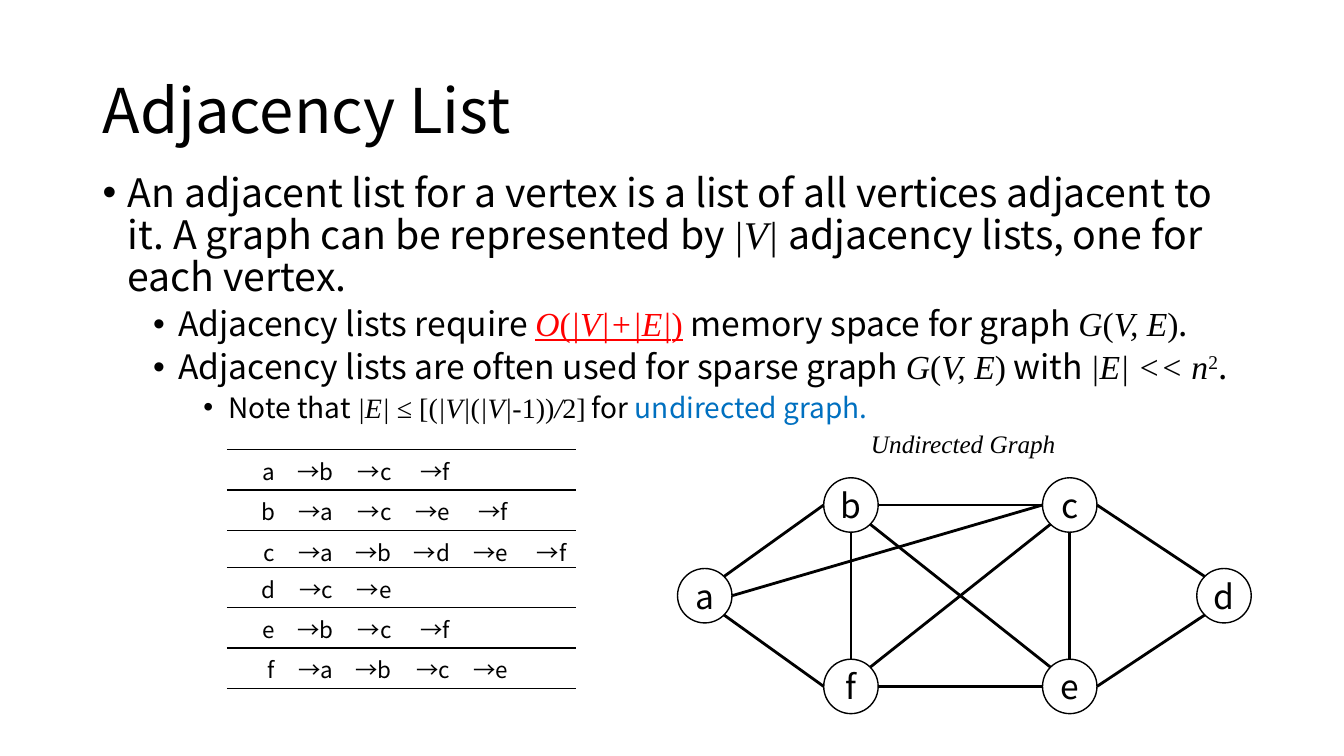
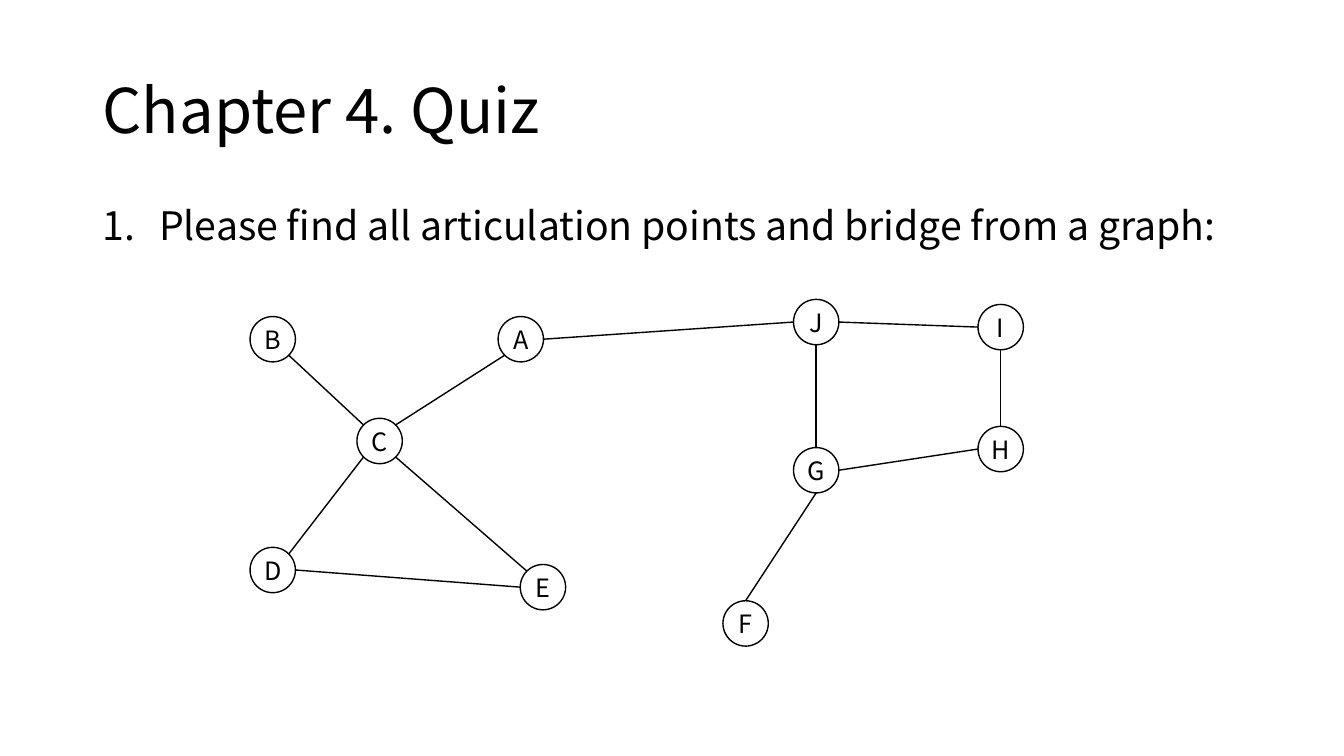
from dataclasses import dataclass
from math import sqrt
from typing import NamedTuple

from lxml.etree import SubElement
from pptx import Presentation
from pptx.dml.color import RGBColor
from pptx.enum.shapes import MSO_CONNECTOR as Connector, MSO_SHAPE as Preset
from pptx.enum.text import MSO_ANCHOR as Anchor, PP_ALIGN as Align
from pptx.oxml.ns import qn
from pptx.util import Inches, Pt


# Shared look
@dataclass(frozen=True)
class Theme:
    sans: str = "Noto Sans CJK JP"
    serif: str = "Times New Roman"
    black: RGBColor = RGBColor(0x00, 0x00, 0x00)
    white: RGBColor = RGBColor(0xFF, 0xFF, 0xFF)
    red: RGBColor = RGBColor(0xFF, 0x00, 0x00)
    blue: RGBColor = RGBColor(0x00, 0x70, 0xC0)
    title_size: int = 44
    body_sizes: tuple[int, ...] = (28, 24, 20)
    table_size: int = 16
    caption_size: int = 18
    line_spacing: float = 0.9


THEME = Theme()


class Style(NamedTuple):
    font: str = THEME.sans
    color: RGBColor = THEME.black
    italic: bool = False
    underline: bool = False
    raised: bool = False


SANS = Style()
SERIF = Style(THEME.serif)
MATH = Style(THEME.serif, italic=True)
RED_SERIF = Style(THEME.serif, THEME.red, underline=True)
RED_MATH = RED_SERIF._replace(italic=True)
BLUE = Style(color=THEME.blue)
SUPERSCRIPT = Style(THEME.serif, raised=True)


class Piece(NamedTuple):
    text: str
    style: Style = SANS


class Item(NamedTuple):
    level: int
    pieces: list[Piece]
    hanging: float = 0.25
    numbered: bool = False


class Node(NamedTuple):
    name: str
    left: float
    top: float


class Edge(NamedTuple):
    start: str
    start_side: str
    end: str
    end_side: str


class Graph(NamedTuple):
    nodes: list[Node]
    edges: list[Edge]
    diameter: float
    text_size: int
    line_width: float


# Points on a circle, as fractions of its radius from the centre
DIAGONAL = 1 / sqrt(2)
SIDES = {
    "N": (0, -1), "S": (0, 1), "W": (-1, 0), "E": (1, 0),
    "NW": (-DIAGONAL, -DIAGONAL), "NE": (DIAGONAL, -DIAGONAL),
    "SW": (-DIAGONAL, DIAGONAL), "SE": (DIAGONAL, DIAGONAL),
}


# Text helpers
def format_run(run, size: int, style: Style = SANS) -> None:
    font = run.font
    font.name, font.size, font.italic = style.font, Pt(size), style.italic
    font.color.rgb = style.color
    font.underline = style.underline
    properties = run._r.get_or_add_rPr()
    SubElement(properties, qn("a:ea")).set("typeface", style.font)
    if style.raised:
        properties.set("baseline", "30000")


def add_text_box(slide, left: float, top: float, width: float, height: float, wrap: bool = True):
    box = slide.shapes.add_textbox(Inches(left), Inches(top), Inches(width), Inches(height))
    box.text_frame.word_wrap = wrap
    return box.text_frame


def add_title(slide, text: str) -> None:
    frame = add_text_box(slide, 0.92, 0.4, 11.5, 1.45)
    frame.vertical_anchor = Anchor.MIDDLE
    frame.text = text
    paragraph = frame.paragraphs[0]
    paragraph.line_spacing = THEME.line_spacing
    format_run(paragraph.runs[0], THEME.title_size)


def set_bullet(paragraph, item: Item) -> None:
    properties = paragraph._p.get_or_add_pPr()
    properties.set("marL", str(Inches(item.hanging + 0.5 * item.level)))
    properties.set("indent", str(-Inches(item.hanging)))
    if item.numbered:
        SubElement(properties, qn("a:buAutoNum")).set("type", "arabicPeriod")
    else:
        SubElement(properties, qn("a:buFont")).set("typeface", "Arial")
        SubElement(properties, qn("a:buChar")).set("char", "•")


def add_body(slide, top: float, height: float, items: list[Item]) -> None:
    frame = add_text_box(slide, 0.92, top, 11.5, height)
    for index, item in enumerate(items):
        paragraph = frame.add_paragraph() if index else frame.paragraphs[0]
        paragraph.level = item.level
        set_bullet(paragraph, item)
        paragraph.line_spacing = THEME.line_spacing
        paragraph.space_before = Pt(5 if index else 0)
        for piece in item.pieces:
            run = paragraph.add_run()
            run.text = piece.text
            format_run(run, THEME.body_sizes[item.level], piece.style)


# Table of adjacency lists
def set_borders(cell) -> None:
    properties = cell._tc.get_or_add_tcPr()
    for position, tag in enumerate(("a:lnL", "a:lnR", "a:lnT", "a:lnB")):
        line = properties.makeelement(qn(tag), {"w": str(Pt(1))})
        if tag in ("a:lnT", "a:lnB"):
            fill = SubElement(line, qn("a:solidFill"))
            SubElement(fill, qn("a:srgbClr")).set("val", str(THEME.black))
        else:
            SubElement(line, qn("a:noFill"))
        properties.insert(position, line)


def add_adjacency_table(slide, lists: dict[str, str]) -> None:
    columns = 1 + max(map(len, lists.values()))
    table = slide.shapes.add_table(
        len(lists), columns, Inches(2.25), Inches(4.46), Inches(3.47), Inches(2.2)).table
    table.first_row = table.horz_banding = False
    for row, (vertex, neighbours) in enumerate(lists.items()):
        texts = [vertex] + [f"→{name}" for name in neighbours]
        for column in range(columns):
            cell = table.cell(row, column)
            cell.fill.background()
            set_borders(cell)
            cell.vertical_anchor = Anchor.MIDDLE
            if column < len(texts):
                cell.text_frame.text = texts[column]
                paragraph = cell.text_frame.paragraphs[0]
                paragraph.alignment = Align.RIGHT
                format_run(paragraph.runs[0], THEME.table_size)


# Graph drawing
def add_node(slide, node: Node, graph: Graph) -> None:
    size = Inches(graph.diameter)
    shape = slide.shapes.add_shape(Preset.OVAL, Inches(node.left), Inches(node.top), size, size)
    shape.shadow.inherit = False
    shape.fill.solid()
    shape.fill.fore_color.rgb = THEME.white
    shape.line.color.rgb = THEME.black
    shape.line.width = Pt(1)
    frame = shape.text_frame
    frame.margin_left = frame.margin_right = frame.margin_top = frame.margin_bottom = 0
    frame.word_wrap = False
    frame.vertical_anchor = Anchor.MIDDLE
    frame.text = node.name
    paragraph = frame.paragraphs[0]
    paragraph.alignment = Align.CENTER
    format_run(paragraph.runs[0], graph.text_size)


def side_point(node: Node, side: str, diameter: float) -> tuple[int, int]:
    across, down = SIDES[side]
    return (Inches(node.left + diameter / 2 * (1 + across)),
            Inches(node.top + diameter / 2 * (1 + down)))


def add_graph(slide, graph: Graph) -> None:
    by_name = {node.name: node for node in graph.nodes}
    for node in graph.nodes:
        add_node(slide, node, graph)
    for edge in graph.edges:
        start = side_point(by_name[edge.start], edge.start_side, graph.diameter)
        end = side_point(by_name[edge.end], edge.end_side, graph.diameter)
        line = slide.shapes.add_connector(Connector.STRAIGHT, *start, *end)
        line.line.color.rgb = THEME.black
        line.line.width = Pt(graph.line_width)
        SubElement(line._element.spPr, qn("a:effectLst"))


# Slide content
GRAPH_TERM = [Piece("G", MATH), Piece("(", SERIF), Piece("V, E", MATH), Piece(")", SERIF)]

LIST_ITEMS = [
    Item(0, [
        Piece("An adjacent list for a vertex is a list of all vertices adjacent to it. "
              "A graph can be represented by "),
        Piece("|V| ", MATH), Piece("adjacency lists, one for each vertex.")]),
    Item(1, [
        Piece("Adjacency lists require "), Piece("O", RED_MATH), Piece("(", RED_SERIF),
        Piece("|V|+|E|", RED_MATH), Piece(")", RED_SERIF),
        Piece(" memory space for graph "), *GRAPH_TERM, Piece(".")]),
    Item(1, [
        Piece("Adjacency lists are often used for sparse graph "), *GRAPH_TERM,
        Piece(" with "), Piece("|E| << n", MATH), Piece("2", SUPERSCRIPT), Piece(".")]),
    Item(2, [
        Piece("Note that "), Piece("|E| ", MATH), Piece("≤ [(", SERIF), Piece("|V|", MATH),
        Piece("(", SERIF), Piece("|V|-", MATH), Piece("1))", SERIF), Piece("/", MATH),
        Piece("2]", SERIF), Piece(" for "), Piece("undirected graph.", BLUE)]),
]

ADJACENCY = {"a": "bcf", "b": "acef", "c": "abdef", "d": "ce", "e": "bcf", "f": "abce"}

UNDIRECTED = Graph(
    [Node("f", 8.17, 6.54), Node("b", 8.17, 4.74), Node("c", 10.34, 4.74),
     Node("e", 10.34, 6.54), Node("d", 11.87, 5.64), Node("a", 6.72, 5.64)],
    [Edge("c", "W", "b", "E"), Edge("c", "S", "e", "N"), Edge("d", "NW", "c", "E"),
     Edge("d", "SW", "e", "E"), Edge("f", "E", "e", "W"), Edge("b", "S", "f", "N"),
     Edge("a", "NE", "b", "W"), Edge("a", "SE", "f", "W"), Edge("a", "E", "c", "W"),
     Edge("c", "SW", "f", "NE"), Edge("e", "NW", "b", "SE")],
    diameter=0.54, text_size=24, line_width=2)

QUIZ = Graph(
    [Node("B", 2.48, 3.14), Node("C", 3.54, 4.15), Node("D", 2.48, 5.43),
     Node("A", 4.94, 3.14), Node("E", 5.16, 5.6), Node("J", 7.87, 2.97),
     Node("G", 7.87, 4.44), Node("H", 9.7, 4.23), Node("I", 9.7, 3.02),
     Node("F", 7.17, 5.96)],
    [Edge("B", "SE", "C", "NW"), Edge("J", "W", "A", "E"), Edge("A", "SW", "C", "NE"),
     Edge("D", "NE", "C", "SW"), Edge("D", "E", "E", "W"), Edge("C", "SE", "E", "NW"),
     Edge("J", "S", "G", "N"), Edge("F", "N", "G", "S"), Edge("H", "W", "G", "E"),
     Edge("I", "S", "H", "N"), Edge("J", "E", "I", "W")],
    diameter=0.45, text_size=18, line_width=1)


def build_list_slide(slide) -> None:
    add_title(slide, "Adjacency List")
    add_body(slide, 1.67, 5.08, LIST_ITEMS)
    add_adjacency_table(slide, ADJACENCY)
    add_graph(slide, UNDIRECTED)
    caption = add_text_box(slide, 8.54, 4.2, 2.05, 0.4, wrap=False)
    caption.text = "Undirected Graph"
    format_run(caption.paragraphs[0].runs[0], THEME.caption_size, MATH)


def build_quiz_slide(slide) -> None:
    question = Piece("Please find all articulation points and bridge from a graph:")
    add_title(slide, "Chapter 4. Quiz")
    add_body(slide, 2, 4.76, [Item(0, [question], hanging=0.56, numbered=True)])
    add_graph(slide, QUIZ)


def main() -> None:
    presentation = Presentation()
    presentation.slide_width, presentation.slide_height = Inches(13.33), Inches(7.5)
    blank = presentation.slide_layouts[6]
    for build in (build_list_slide, build_quiz_slide):
        build(presentation.slides.add_slide(blank))
    presentation.save("out.pptx")


if __name__ == "__main__":
    main()
